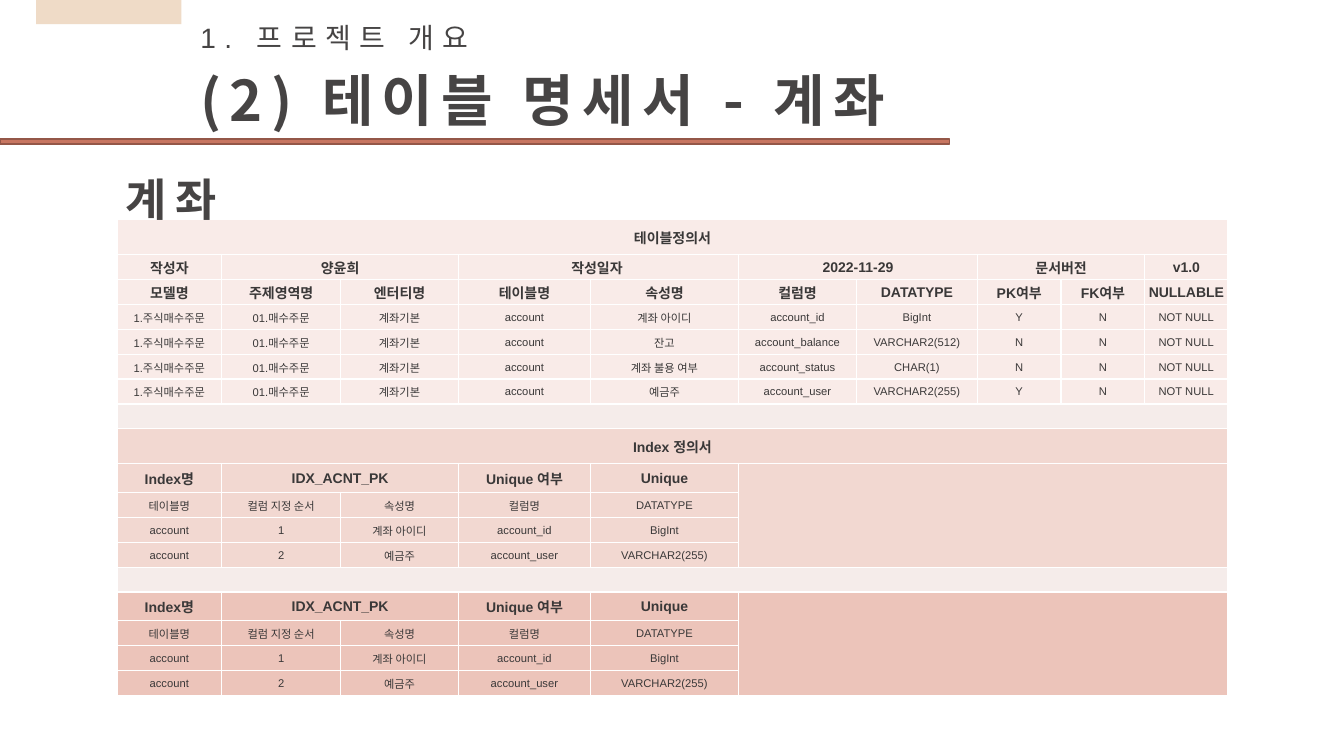
from dataclasses import dataclass

from lxml import etree
from pptx import Presentation
from pptx.dml.color import RGBColor
from pptx.enum.shapes import MSO_SHAPE
from pptx.enum.text import MSO_ANCHOR, MSO_AUTO_SIZE, PP_ALIGN
from pptx.oxml.ns import qn
from pptx.util import Pt

RECT = MSO_SHAPE.RECTANGLE
MIDDLE = MSO_ANCHOR.MIDDLE
CENTER = PP_ALIGN.CENTER
FIT_SHAPE = MSO_AUTO_SIZE.SHAPE_TO_FIT_TEXT


@dataclass(frozen=True)
class Theme:
    latin: str = "Arial"
    korean: str = "Noto Sans CJK KR"
    heading: str = "464444"
    cell_text: str = "3A3838"
    rule: str = "C87661"
    rule_edge: str = "945748"
    tab: str = "EFDBC7"
    border: str = "FFFFFF"
    gap: str = "F5ECEA"
    columns: str = "F9EBE8"
    index_1: str = "F2D8D1"
    index_2: str = "ECC4BA"
    section_size: int = 20
    title_size: int = 40
    entity_size: int = 32
    head_size: int = 10
    body_size: int = 8
    spacing: int = 6


THEME = Theme()

# text, left, top, width, height, size, font, bold
HEADINGS = [
    ("1. 프로젝트 개요", 136.1, 10.8, 223.9, 31.7, THEME.section_size, THEME.latin, False),
    ("(2) 테이블 명세서 - 계좌", 136.1, 43.2, 581, 55.4, THEME.title_size, THEME.korean, True),
]
ENTITY = ("계좌", 82.8, 118.8, 91.4, 46.1, THEME.entity_size, THEME.korean, True)

# None continues the cell on its left
TABLE_TITLE = ["테이블정의서"] + [None] * 9
DOCUMENT = ["작성자", "양윤희", None, "작성일자 ", None, "2022-11-29", None,
            "문서버전", None, "v1.0"]
COLUMN_HEAD = ["모델명", "주제영역명", "엔터티명", "테이블명", "속성명", "컬럼명",
               "DATATYPE", "PK여부", "FK여부", "NULLABLE"]
COLUMNS = [
    ("계좌 아이디", "account_id", "BigInt", "Y"),
    ("잔고", "account_balance", "VARCHAR2(512)", "N"),
    ("계좌 불용 여부", "account_status", "CHAR(1)", "N"),
    ("예금주", "account_user", "VARCHAR2(255)", "Y"),
]
GAP = [""] + [None] * 9
INDEX_TITLE = ["Index 정의서"] + [None] * 9
INDEX_HEAD = ["Index명", "IDX_ACNT_PK", None, "Unique 여부", "Unique"]
INDEX_BODY = [
    ["테이블명", "컬럼 지정 순서", "속성명", "컬럼명", "DATATYPE"],
    ["account", "1", "계좌 아이디", "account_id", "BigInt"],
    ["account", "2", "예금주", "account_user", "VARCHAR2(255)"],
]

TABLE_LEFT, TABLE_TOP = 83.5, 156.9
COL_WIDTHS = [74.9, 84.9, 84.2, 94.3, 105.8, 84.2, 86.4, 59.8, 59.8, 59.4]
TITLE_ROW, INDEX_ROW, ROW = 25, 20.5, 17.8
INSET = 0.7


def table_rows():
    """List every row as (height, bold, fill, cells)."""
    rows = [(TITLE_ROW, True, THEME.columns, TABLE_TITLE),
            (ROW, True, THEME.columns, DOCUMENT),
            (ROW, True, THEME.columns, COLUMN_HEAD)]
    for attribute, column, datatype, pk in COLUMNS:
        cells = ["1.주식매수주문", "01.매수주문", "계좌기본", "account",
                 attribute, column, datatype, pk, "N", "NOT NULL"]
        rows.append((ROW, False, THEME.columns, cells))
    for fill, titles in ((THEME.index_1, [INDEX_TITLE]), (THEME.index_2, [])):
        rows.append((ROW, False, THEME.gap, GAP))
        rows += [(TITLE_ROW, True, fill, cells) for cells in titles]
        rows.append((INDEX_ROW, True, fill, INDEX_HEAD))
        rows += [(ROW, False, fill, cells) for cells in INDEX_BODY]
    return rows


def rgb(value):
    return RGBColor.from_string(value)


def add_run(p, text, size, font, color, bold):
    r = p.add_run()
    r.text = text
    r.font.size = Pt(size)
    r.font.bold = bold
    r.font.color.rgb = rgb(color)
    r.font.name = font
    rpr = r.font._element
    etree.SubElement(rpr, qn("a:ea"), typeface=THEME.korean)
    return rpr


def add_heading(slide, text, left, top, width, height, size, font, bold):
    s = slide.shapes.add_textbox(Pt(left), Pt(top), Pt(width), Pt(height))
    tf = s.text_frame
    tf.word_wrap = False
    tf.auto_size = FIT_SHAPE
    rpr = add_run(tf.paragraphs[0], text, size, font, THEME.heading, bold)
    rpr.set("spc", str(THEME.spacing * 100))


def add_bar(slide, left, top, width, height, fill, edge=None):
    s = slide.shapes.add_shape(RECT, Pt(left), Pt(top), Pt(width), Pt(height))
    s.shadow.inherit = False
    s.fill.solid()
    s.fill.fore_color.rgb = rgb(fill)
    if edge:
        s.line.color.rgb = rgb(edge)
        s.line.width = Pt(1)
    else:
        s.line.fill.background()


def style_cell(cell, fill):
    cell.margin_left = cell.margin_right = cell.margin_top = Pt(INSET)
    cell.margin_bottom = 0
    cell.vertical_anchor = MIDDLE
    tcpr = cell._tc.get_or_add_tcPr()
    for side in ("lnL", "lnR", "lnT", "lnB"):
        ln = etree.SubElement(tcpr, qn(f"a:{side}"), w=str(Pt(1)))
        solid = etree.SubElement(ln, qn("a:solidFill"))
        etree.SubElement(solid, qn("a:srgbClr"), val=THEME.border)
    cell.fill.solid()
    cell.fill.fore_color.rgb = rgb(fill)


def fill_cell(cell, text, bold):
    p = cell.text_frame.paragraphs[0]
    p.alignment = CENTER
    if text:
        size = THEME.head_size if bold else THEME.body_size
        add_run(p, text, size, THEME.latin, THEME.cell_text, bold)
    else:
        # keeps an empty cell from stretching its row
        etree.SubElement(p._p, qn("a:endParaRPr"), sz=str(THEME.body_size * 100))


def add_definition_table(slide):
    rows = table_rows()
    n_cols = len(COL_WIDTHS)
    heights = [row[0] for row in rows]
    frame = slide.shapes.add_table(len(rows), n_cols, Pt(TABLE_LEFT), Pt(TABLE_TOP),
                                   Pt(sum(COL_WIDTHS)), Pt(sum(heights)))
    table = frame.table
    for column, width in zip(table.columns, COL_WIDTHS):
        column.width = Pt(width)
    for i, (height, bold, fill, cells) in enumerate(rows):
        table.rows[i].height = Pt(height)
        texts = cells + [""] * (n_cols - len(cells))
        for j, text in enumerate(texts):
            style_cell(table.cell(i, j), fill)
            fill_cell(table.cell(i, j), text, bold)
        for j, text in enumerate(texts):
            end = j
            while end + 1 < n_cols and texts[end + 1] is None:
                end += 1
            if text is not None and end > j:
                table.cell(i, j).merge(table.cell(i, end))
        if cells is INDEX_HEAD:
            blank = table.cell(i, len(INDEX_HEAD))
            blank.merge(table.cell(i + len(INDEX_BODY), n_cols - 1))


def main():
    prs = Presentation()
    prs.slide_width, prs.slide_height = Pt(960), Pt(540)
    slide = prs.slides.add_slide(prs.slide_layouts[6])
    add_bar(slide, 0, 99.2, 678.2, 3.6, THEME.rule, THEME.rule_edge)
    add_bar(slide, 25.9, 0, 103.7, 17.3, THEME.tab)
    for heading in HEADINGS:
        add_heading(slide, *heading)
    add_definition_table(slide)
    add_heading(slide, *ENTITY)
    prs.save("out.pptx")


if __name__ == "__main__":
    main()
